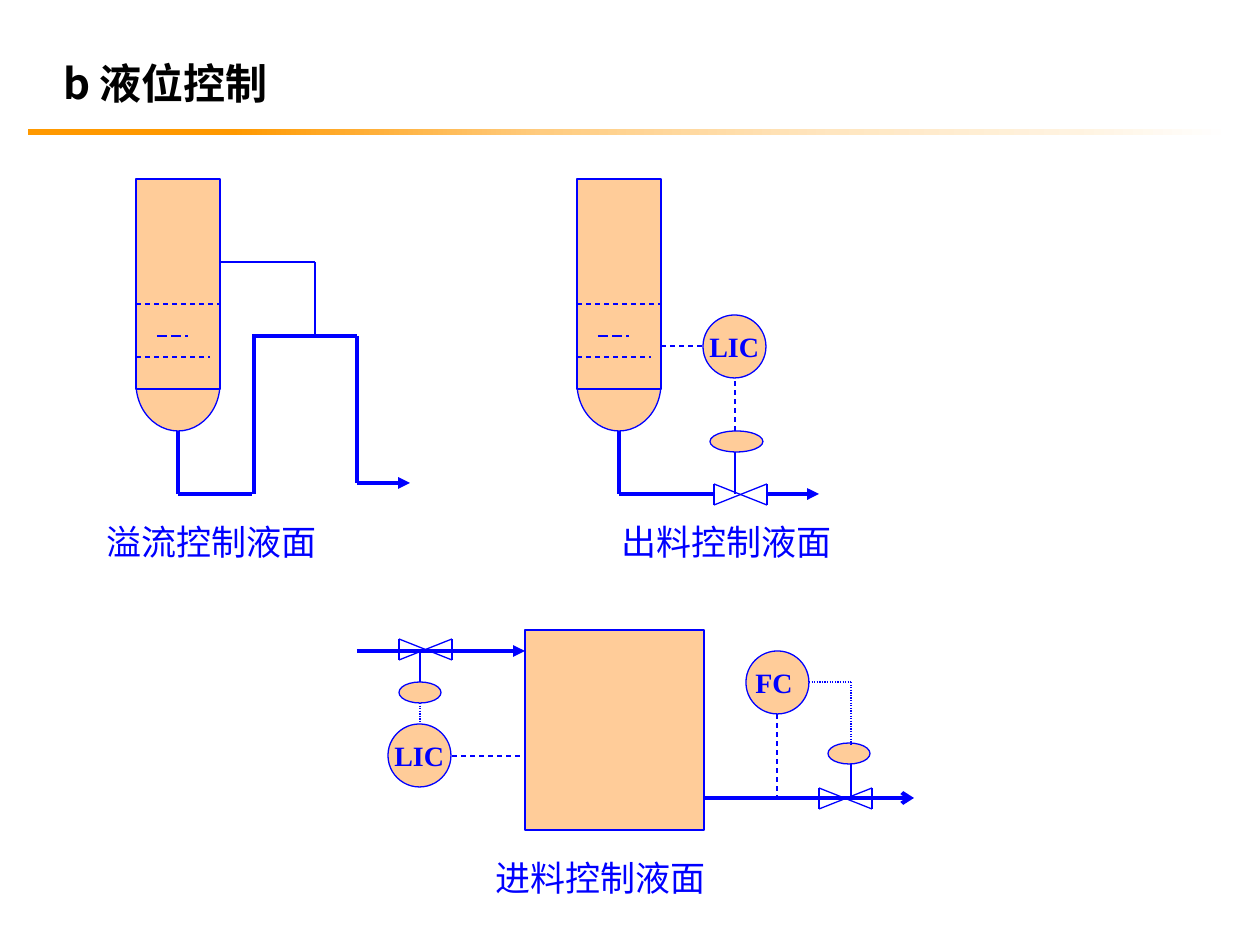
from dataclasses import dataclass
from itertools import pairwise

from lxml import etree
from pptx import Presentation
from pptx import util as u
from pptx.dml.color import RGBColor
from pptx.enum import dml, shapes, text
from pptx.oxml import ns

PX = u.Inches(1) / 126
KIND = shapes.MSO_SHAPE
DASH = dml.MSO_LINE.DASH
DOT = dml.MSO_LINE.ROUND_DOT


@dataclass(frozen=True)
class Theme:
    ink: str = "0000FF"
    body: str = "FFCC99"
    black: str = "000000"
    sans: str = "Noto Sans CJK SC"
    serif: str = "Times New Roman"
    title: int = 24
    label: int = 20
    tag: int = 16
    thin: float = 0.75
    thick: float = 2.25
    fade: tuple = ((17, "FF9900"), (43, "FFCC80"), (67, "FFE6C0"),
                   (87, "FFF3E0"), (100, "FFFFFF"))


T = Theme()


def px(*sizes):
    return [round(n * PX) for n in sizes]


def color(code):
    return RGBColor.from_string(code)


def write(area, box, words, size, hue=T.ink, face=T.serif, bold=False):
    frame = area.shapes.add_textbox(*px(*box)).text_frame
    frame.word_wrap = True
    frame.vertical_anchor = text.MSO_ANCHOR.MIDDLE
    frame.text = words
    font = frame.paragraphs[0].runs[0].font
    font.size = u.Pt(size)
    font.name = face
    font.bold = bold
    font.color.rgb = color(hue)


def solid(area, kind, *box):
    shape = area.shapes.add_shape(kind, *px(*box))
    shape.shadow.inherit = False
    shape.fill.solid()
    shape.fill.fore_color.rgb = color(T.body)
    shape.line.color.rgb = color(T.ink)
    shape.line.width = u.Pt(T.thin)


def trace(area, *points, width=T.thin, dash=None, head=None):
    for start, end in pairwise(points):
        line = area.shapes.add_connector(
            shapes.MSO_CONNECTOR.STRAIGHT, *px(*start, *end))
        line.line.color.rgb = color(T.ink)
        line.line.width = u.Pt(width)
        if dash:
            line.line.dash_style = dash
        if head and end == points[-1]:
            etree.SubElement(line.line._get_or_add_ln(),
                             ns.qn("a:tailEnd"), type=head)
        etree.SubElement(line._element.spPr, ns.qn("a:effectLst"))


def pipe(area, *points, head=None):
    trace(area, *points, width=T.thick, head=head)


def vessel(area, x):
    solid(area, KIND.OVAL, x, 336, 84, 95)
    solid(area, KIND.RECTANGLE, x, 179, 84, 210)
    trace(area, (x, 304), (x + 84, 304), dash=DASH)
    trace(area, (x + 21, 336), (x + 52, 336), dash=dml.MSO_LINE.LONG_DASH)
    trace(area, (x, 357), (x + 74, 357), dash=DASH)


def valve(area, x, y):
    right, low = x + 53, y + 21
    trace(area, (x, low), (x, y), (right, low), (right, y), (x, low))


def gauge(area, x, y, name, shift=6):
    solid(area, KIND.OVAL, x, y, 63, 63)
    write(area, (x - shift, y + 8, 84, 47), name, T.tag, bold=True)


def header(slide):
    bar = slide.shapes.add_shape(KIND.RECTANGLE, *px(28, 129, 1203, 6))
    bar.shadow.inherit = False
    bar.line.fill.background()
    bar.fill.gradient()
    bar.fill.gradient_angle = 0
    stops = bar._element.spPr.find(".//" + ns.qn("a:gsLst"))
    stops[:] = []
    for place, code in T.fade:
        stop = etree.SubElement(stops, ns.qn("a:gs"), pos=str(place * 1000))
        etree.SubElement(stop, ns.qn("a:srgbClr"), val=code)
    write(slide, (51, 51, 1146, 63), "b 液位控制", T.title, T.black, T.sans, True)


def spill(area):
    vessel(area, 136)
    trace(area, (220, 262), (315, 262), (315, 336))
    pipe(area, (178, 431), (178, 494), (252, 494))
    pipe(area, (254, 336), (254, 494))
    pipe(area, (252, 336), (357, 336), (357, 483), (410, 483),
         head="triangle")
    write(area, (94, 514, 242, 54), "溢流控制液面", T.label)


def drain(area):
    vessel(area, 577)
    pipe(area, (619, 431), (619, 494), (714, 494))
    valve(area, 714, 484)
    pipe(area, (767, 494), (819, 494), head="triangle")
    trace(area, (735, 494), (735, 452))
    solid(area, KIND.OVAL, 710, 431, 53, 21)
    trace(area, (661, 346), (703, 346), dash=DASH)
    trace(area, (735, 431), (735, 378), dash=DASH)
    gauge(area, 703, 315, "LIC")
    write(area, (609, 514, 262, 54), "出料控制液面", T.label)


def feed(area):
    valve(area, 399, 639)
    valve(area, 819, 788)
    solid(area, KIND.RECTANGLE, 525, 630, 179, 200)
    pipe(area, (357, 651), (525, 651), head="triangle")
    trace(area, (420, 651), (420, 693))
    solid(area, KIND.OVAL, 399, 682, 42, 21)
    trace(area, (452, 756), (525, 756), dash=DASH)
    trace(area, (420, 703), (420, 724), dash=DOT)
    pipe(area, (704, 798), (914, 798), head="arrow")
    trace(area, (851, 798), (851, 756))
    solid(area, KIND.OVAL, 828, 743, 42, 21)
    trace(area, (777, 714), (777, 798), dash=DASH)
    trace(area, (809, 682), (851, 682), (851, 746), dash=DOT)
    gauge(area, 388, 724, "LIC")
    gauge(area, 746, 651, "FC", shift=3)
    write(area, (483, 850, 284, 54), "进料控制液面", T.label)


def main():
    deck = Presentation()
    deck.slide_width, deck.slide_height = px(1260, 945)
    slide = deck.slides.add_slide(deck.slide_layouts[6])
    header(slide)
    for scheme in (spill, drain, feed):
        scheme(slide.shapes.add_group_shape())
    deck.save("out.pptx")


if __name__ == "__main__":
    main()
